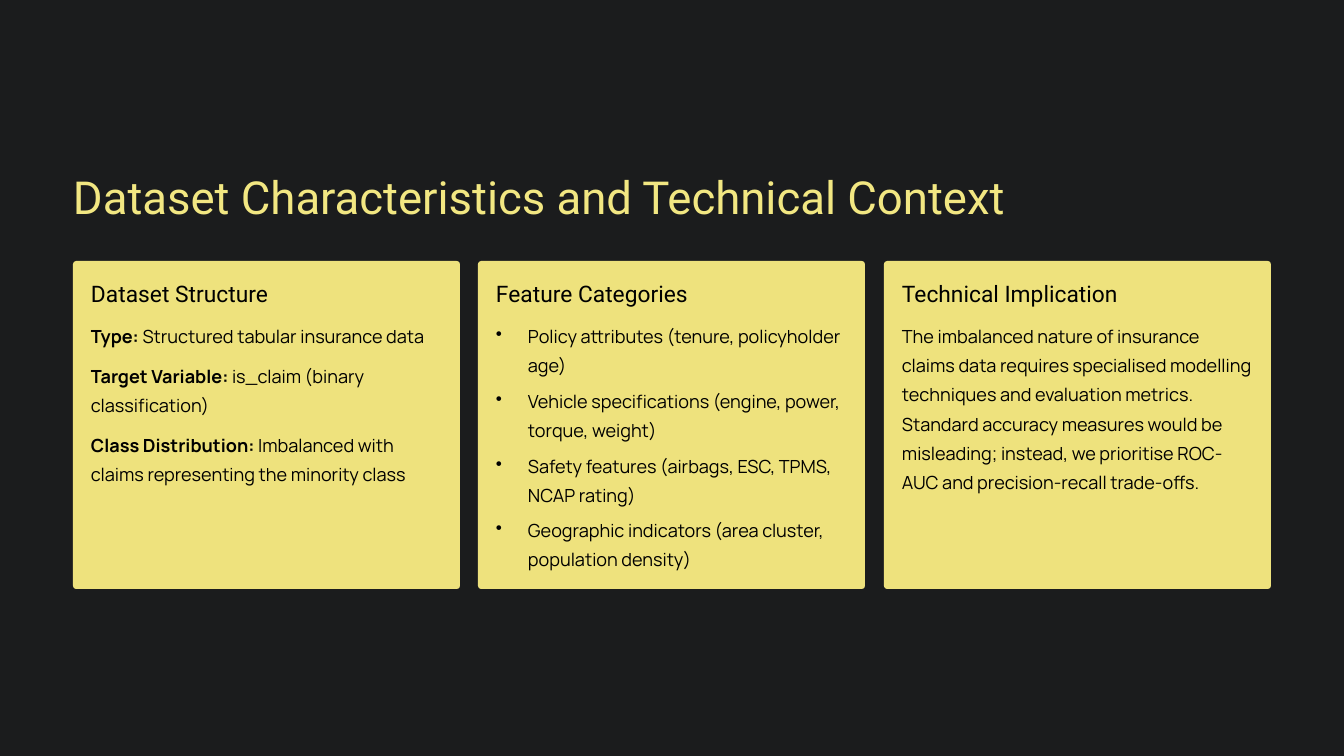
import pptx
import pptx.dml.color
import pptx.enum.shapes
import pptx.enum.text
import pptx.oxml.ns
import pptx.util
import lxml.etree

PX = 914400 // 84
THEME = {
    "background": "1B1C1D",
    "card": "EEE27D",
    "title": {"name": "Roboto", "size": 39, "color": "F2E782", "line": 48.5},
    "heading": {"name": "Roboto", "size": 19.5, "color": "000000", "line": 24},
    "body": {"name": "Manrope", "size": 15.5, "color": "000000", "line": 25},
}
MARGIN, CARD_TOP, CARD_W, CARD_H = 73, 261, 387, 328
CONTENT_W, PAD, INDENT = 1198, 18, 32

CARDS = [
    {"heading": "Dataset Structure", "gap": 9.25, "bullets": False, "items": [
        ("Type:", " Structured tabular insurance data"),
        ("Target Variable:", " is_claim (binary classification)"),
        ("Class Distribution:", " Imbalanced with claims representing the minority class"),
    ]},
    {"heading": "Feature Categories", "gap": 5.5, "bullets": True, "items": [
        ("", "Policy attributes (tenure, policyholder age)"),
        ("", "Vehicle specifications (engine, power, torque, weight)"),
        ("", "Safety features (airbags, ESC, TPMS, NCAP rating)"),
        ("", "Geographic indicators (area cluster, population density)"),
    ]},
    {"heading": "Technical Implication", "gap": 0, "bullets": False, "items": [
        ("", "The imbalanced nature of insurance claims data requires specialised "
             "modelling techniques and evaluation metrics. Standard accuracy measures "
             "would be misleading; instead, we prioritise ROC-AUC and precision-recall "
             "trade-offs."),
    ]},
]


def px(*lengths):
    return [pptx.util.Emu(n * PX) for n in lengths]


def write(sp, style, items, gap=0, bullets=False):
    fmt = THEME[style]
    tf = sp.text_frame
    frame = {"word_wrap": True, "auto_size": pptx.enum.text.MSO_AUTO_SIZE.NONE,
             "vertical_anchor": pptx.enum.text.MSO_ANCHOR.TOP,
             "margin_left": 0, "margin_top": 0, "margin_right": 0, "margin_bottom": 0}
    for name, value in frame.items():
        setattr(tf, name, value)
    for i, (label, text) in enumerate(items):
        p = tf.add_paragraph() if i else tf.paragraphs[0]
        p.alignment = pptx.enum.text.PP_ALIGN.LEFT
        p.line_spacing = pptx.util.Pt(fmt["line"])
        p.space_before = pptx.util.Pt(gap if i else 0)
        if bullets:
            pPr = p._p.get_or_add_pPr()
            pPr.set("marL", str(INDENT * PX))
            pPr.set("indent", str(-INDENT * PX))
            bu = lxml.etree.SubElement(pPr, pptx.oxml.ns.qn("a:buChar"))
            bu.set("char", "•")
        for words, bold in ((label, True), (text, False)):
            if words:
                r = p.add_run()
                r.text = words
                font = {"name": fmt["name"], "size": pptx.util.Pt(fmt["size"]), "bold": bold}
                for name, value in font.items():
                    setattr(r.font, name, value)
                r.font.color.rgb = pptx.dml.color.RGBColor.from_string(fmt["color"])


prs = pptx.Presentation()
prs.slide_width, prs.slide_height = pptx.util.Inches(16), pptx.util.Inches(9)
s = prs.slides.add_slide(prs.slide_layouts[5])
s.background.fill.solid()
s.background.fill.fore_color.rgb = pptx.dml.color.RGBColor.from_string(THEME["background"])

title = s.shapes.title
title.left, title.top, title.width, title.height = px(MARGIN, 167, 1010, 57)
write(title, "title", [("", "Dataset Characteristics and Technical Context")])

for i, card in enumerate(CARDS):
    left = MARGIN + i * (CONTENT_W - CARD_W) // (len(CARDS) - 1)
    sp = s.shapes.add_shape(pptx.enum.shapes.MSO_SHAPE.ROUNDED_RECTANGLE,
                            *px(left, CARD_TOP, CARD_W, CARD_H))
    sp.adjustments[0] = 0.01
    sp.shadow.inherit = False
    sp.fill.solid()
    sp.fill.fore_color.rgb = pptx.dml.color.RGBColor.from_string(THEME["card"])
    sp.line.fill.background()

    inner_left, inner_w = left + PAD, CARD_W - 2 * PAD
    heading = s.shapes.add_textbox(*px(inner_left, CARD_TOP + PAD, inner_w, 29))
    write(heading, "heading", [("", card["heading"])])
    body = s.shapes.add_textbox(*px(inner_left, CARD_TOP + 57, inner_w, 253))
    write(body, "body", card["items"], card["gap"], card["bullets"])

prs.save("out.pptx")
